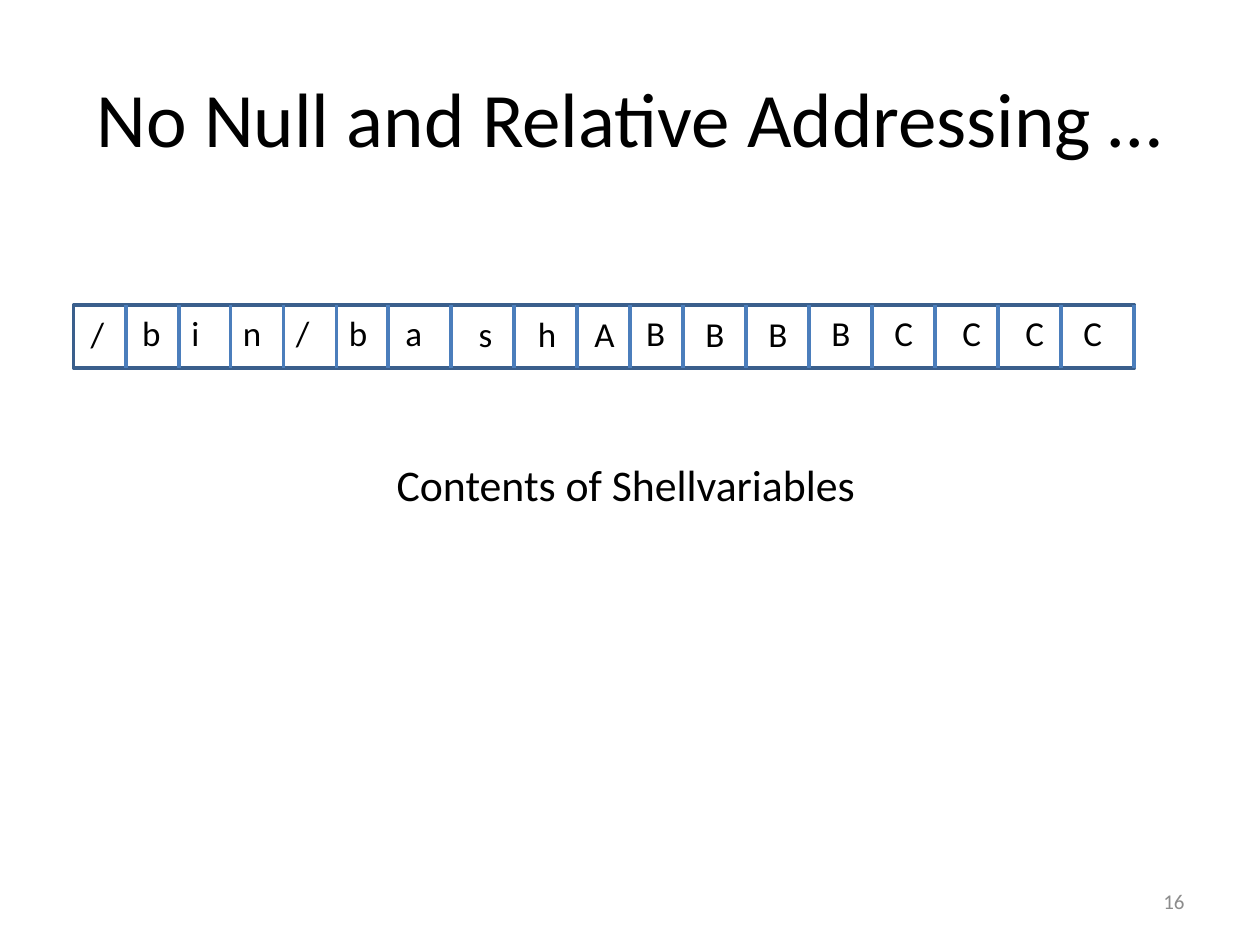
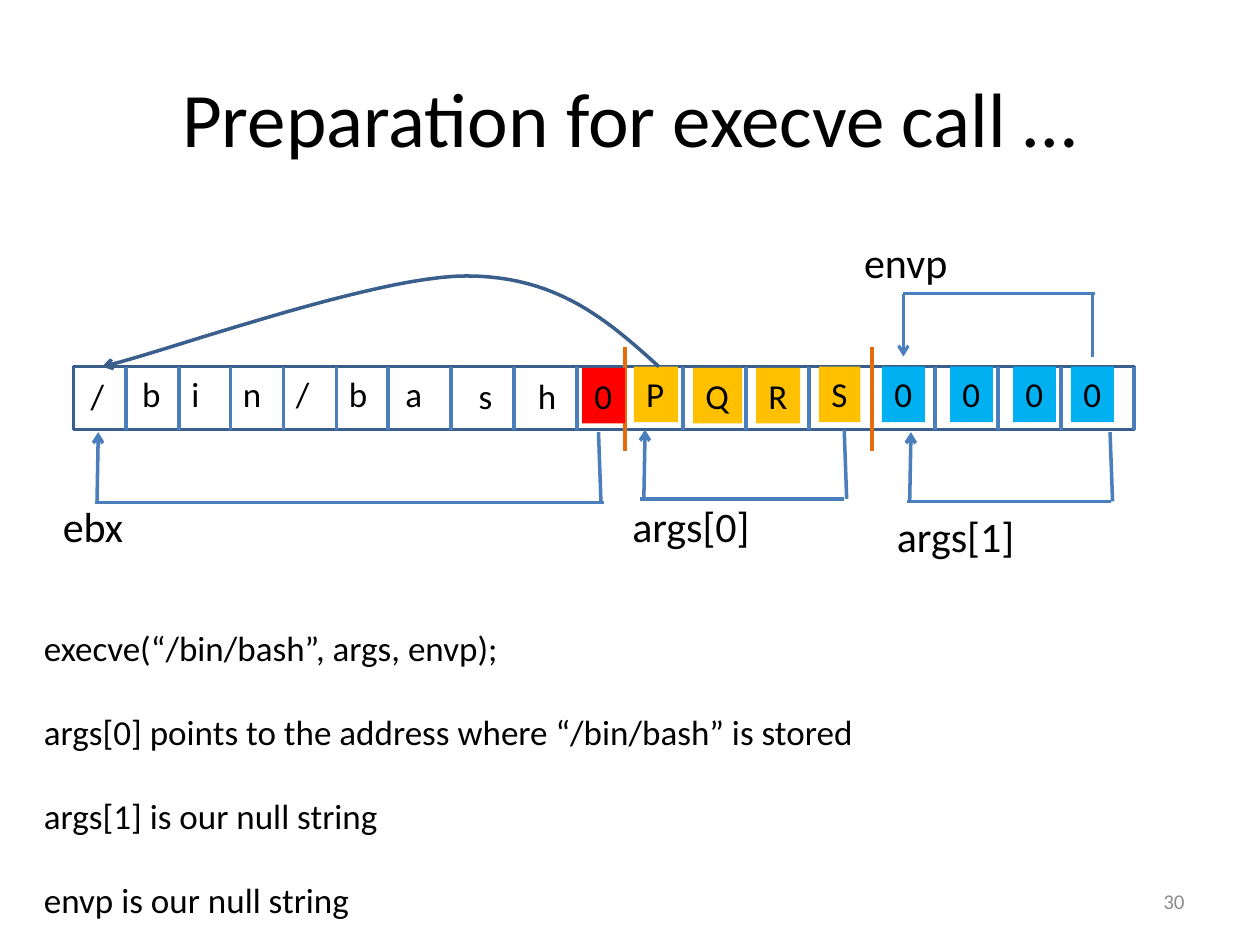
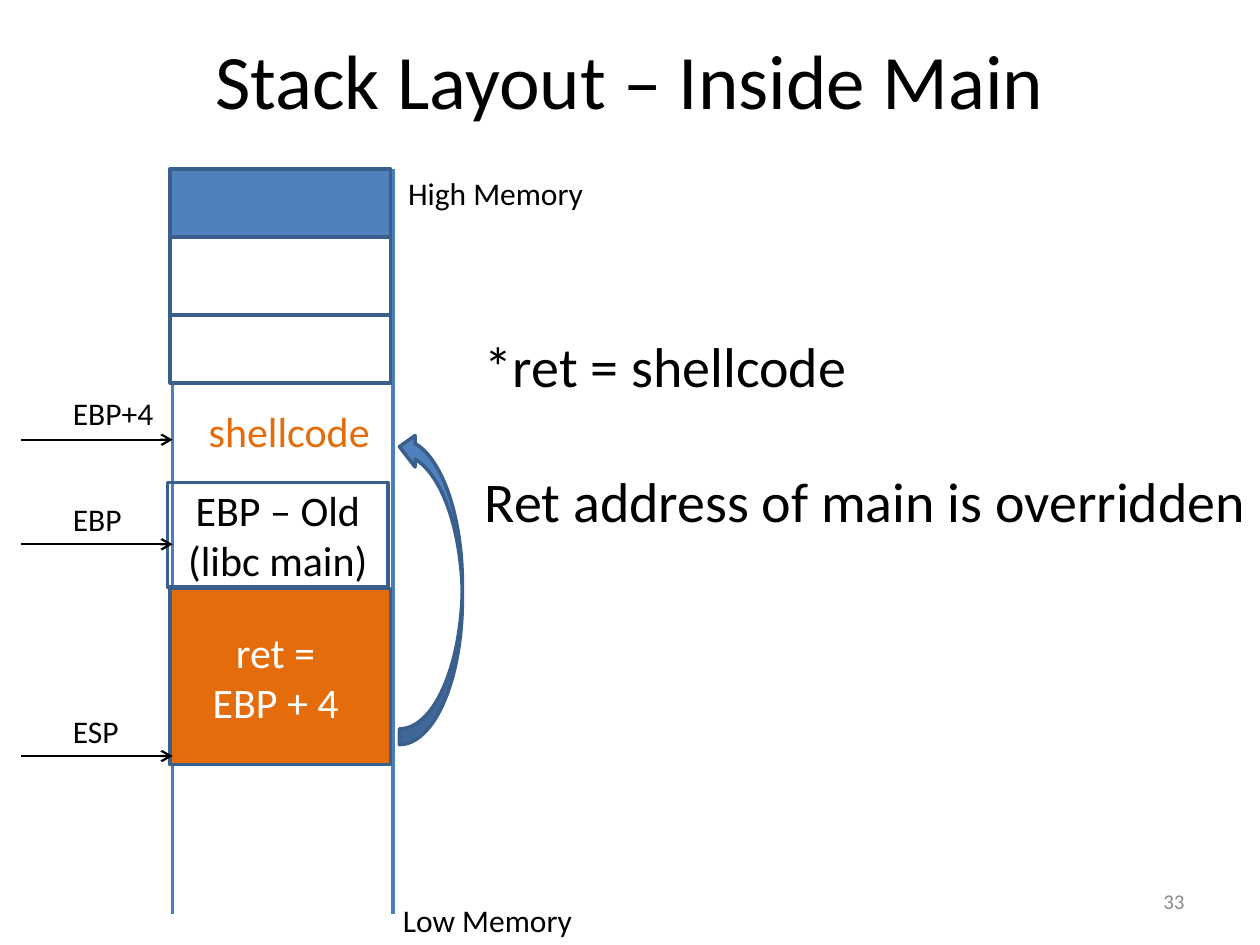
from dataclasses import dataclass
from itertools import accumulate
from typing import Optional

from lxml.etree import SubElement
from pptx import Presentation
from pptx.dml.color import RGBColor
from pptx.enum.shapes import MSO_CONNECTOR as Link, MSO_SHAPE as Preset
from pptx.enum.text import MSO_ANCHOR as Anchor, MSO_AUTO_SIZE as AutoSize, PP_ALIGN as Align
from pptx.oxml.ns import qn
from pptx.util import Inches, Pt

BLACK = RGBColor(0x00, 0x00, 0x00)
WHITE = RGBColor(0xFF, 0xFF, 0xFF)
GREY = RGBColor(0x8C, 0x8C, 0x8C)
BLUE = RGBColor(0x4F, 0x81, 0xBD)
LINE_BLUE = RGBColor(0x4B, 0x7E, 0xBC)
EDGE_BLUE = RGBColor(0x3A, 0x5F, 0x8C)
SKY = RGBColor(0x00, 0xB0, 0xF0)
ORANGE = RGBColor(0xE4, 0x6C, 0x0A)
GOLD = RGBColor(0xFF, 0xC0, 0x00)
RED = RGBColor(0xFF, 0x00, 0x00)
FONT = "Calibri"

NARROW = 5 / 12
ROW_LEFT, ROW_WIDTH, ROW_HEIGHT = 7 / 12, 8.42, 0.5
BYTE_WIDTHS = [NARROW] * 6 + [0.5] * 3 + [NARROW] * 2 + [0.5] * 6 + [7 / 12]
DIVIDERS = [round(x, 2) for x in accumulate(BYTE_WIDTHS, initial=ROW_LEFT)][1:]
BYTE_LEFTS = [0.62, 1.03, 1.42, 1.83, 2.25, 2.67, 3.12, 3.7, 4.17,
              4.62, 5.03, 5.5, 6, 6.5, 7, 7.54, 8.04, 8.5]
LOWERED = {0, 7, 8, 9, 11, 12}
GLYPH_WIDTHS = {"/": 0.31, "i": 0.27, "a": 0.34, "s": 0.31, "A": 0.36,
                "Q": 0.39, "S": 0.33, "0": 0.34}


@dataclass(frozen=True)
class Bracket:
    label: str
    label_box: tuple[float, float, float]
    left: float
    right: float
    bar: tuple[float, float]
    base: float
    tip: float
    skew: float = 0.01
    weight: float = 2


@dataclass(frozen=True)
class Frame:
    top: float
    height: float
    fill: Optional[RGBColor]
    left: float = 1.35
    text: str = ""
    color: RGBColor = BLACK


@dataclass(frozen=True)
class Register:
    name: str
    width: float
    top: float
    arrow_y: float


BRACKETS = [
    Bracket("ebx", (0.4, 3.92, 0.69), 0.77, 4.77, (0.75, 4.79), 3.99, 3.43),
    Bracket("args[0]", (4.92, 3.92, 1.14), 5.11, 6.72, (5.08, 6.7), 3.96, 3.41),
    Bracket("envp", (6.76, 1.83, 0.87), 7.17, 8.67, (7.17, 8.69), 2.33, 2.83, 0, 1.75),
    Bracket("args[1]", (7.02, 4, 1.14), 7.22, 8.83, (7.2, 8.82), 3.98, 3.43),
]
FRAMES = [
    Frame(1.34, 0.54, BLUE),
    Frame(1.88, 0.62, WHITE),
    Frame(2.5, 0.54, WHITE),
    Frame(3.83, 0.83, None, 1.33, "EBP – Old\n(libc main)"),
    Frame(4.67, 1.4, ORANGE, text="ret = \nEBP + 4 ", color=WHITE),
]
REGISTERS = [
    Register("ESP", 0.57, 5.6, 6),
    Register("EBP", 0.59, 3.92, 4.32),
    Register("EBP+4", 0.85, 3.08, 3.49),
]


def write(shape, text: str, *, size: float, color: RGBColor = BLACK, align=Align.LEFT,
          anchor=Anchor.TOP, wrap: bool = False, gap: float = 0) -> None:
    frame = shape.text_frame
    frame.word_wrap = wrap
    frame.auto_size = AutoSize.NONE if wrap else AutoSize.SHAPE_TO_FIT_TEXT
    frame.vertical_anchor = anchor
    for index, line in enumerate(text.split("\n")):
        para = frame.add_paragraph() if index else frame.paragraphs[0]
        para.alignment = align
        if index and gap:
            para.space_before = Pt(gap)
        span = para.add_run()
        span.text = line
        span.font.name, span.font.size = FONT, Pt(size)
        span.font.color.rgb = color


def add_text(page, text: str, left: float, top: float, width: float, height: float,
             fill: Optional[RGBColor] = None, **style) -> None:
    box = page.shapes.add_textbox(Inches(left), Inches(top), Inches(width), Inches(height))
    if fill is not None:
        box.fill.solid()
        box.fill.fore_color.rgb = fill
    write(box, text, **style)


def style_line(shape, color: RGBColor, weight: float, arrow: bool = False) -> None:
    shape.line.color.rgb = color
    shape.line.width = Pt(weight)
    if arrow:
        outline = shape._element.spPr.find(qn("a:ln"))
        SubElement(outline, qn("a:tailEnd"), type="arrow")


def add_line(page, start: tuple[float, float], end: tuple[float, float],
             color: RGBColor = LINE_BLUE, weight: float = 2, arrow: bool = False) -> None:
    line = page.shapes.add_connector(Link.STRAIGHT, *(Inches(v) for v in (*start, *end)))
    style_line(line, color, weight, arrow)
    SubElement(line._element.spPr, qn("a:effectLst"))


def add_block(page, preset, left: float, top: float, width: float, height: float,
              fill: Optional[RGBColor] = None):
    block = page.shapes.add_shape(preset, *(Inches(v) for v in (left, top, width, height)))
    block.shadow.inherit = False
    if fill is None:
        block.fill.background()
    else:
        block.fill.solid()
        block.fill.fore_color.rgb = fill
    style_line(block, EDGE_BLUE, 2)
    return block


def add_curve(page, start: tuple[float, float], segments: list, steps: int = 24) -> None:
    points, origin = [], start
    for segment in segments:
        anchors = (origin, *segment)
        for step in range(1, steps + 1):
            t = step / steps
            weights = ((1 - t) ** 3, 3 * t * (1 - t) ** 2, 3 * t * t * (1 - t), t ** 3)
            points.append(tuple(Inches(sum(w * a[axis] for w, a in zip(weights, anchors)))
                                for axis in (0, 1)))
        origin = segment[-1]
    builder = page.shapes.build_freeform(Inches(start[0]), Inches(start[1]))
    builder.add_line_segments(points, close=False)
    curve = builder.convert_to_shape()
    curve.shadow.inherit = False
    curve.fill.background()
    style_line(curve, EDGE_BLUE, 2, arrow=True)


def add_page(deck, title: str, number: int, title_top: float = 0.3):
    page = deck.slides.add_slide(deck.slide_layouts[6])
    add_text(page, title, 0.5, title_top, 9, 1.25, size=44, align=Align.CENTER,
             anchor=Anchor.MIDDLE, wrap=True)
    add_text(page, str(number), 7.17, 6.95, 2.33, 0.4, size=12, color=GREY,
             align=Align.RIGHT, anchor=Anchor.MIDDLE, wrap=True)
    return page


def add_memory(page, top: float, content: str, fills: Optional[dict] = None,
               bars: Optional[dict] = None) -> None:
    fills, bars = fills or {}, bars or {}
    add_block(page, Preset.RECTANGLE, ROW_LEFT, top, ROW_WIDTH, ROW_HEIGHT)
    for x in DIVIDERS:
        if x in bars:
            add_line(page, (bars[x], top - 0.16), (bars[x], top + 0.67), ORANGE)
        else:
            add_line(page, (x, top), (x, top + ROW_HEIGHT))
    for index, (glyph, left) in enumerate(zip(content, BYTE_LEFTS)):
        add_text(page, glyph, left, top + 0.01 * (index in LOWERED),
                 GLYPH_WIDTHS.get(glyph, 0.35), 0.44, fills.get(index), size=20)


def add_bracket(page, bracket: Bracket) -> None:
    left, right, base, tip = bracket.left, bracket.right, bracket.base, bracket.tip
    add_text(page, bracket.label, *bracket.label_box, 0.5, size=24)
    add_line(page, (left, base), (left + bracket.skew, tip), weight=bracket.weight, arrow=True)
    add_line(page, (bracket.bar[0], base), (bracket.bar[1], base))
    add_line(page, (right, base), (right - 2 * bracket.skew, tip), weight=bracket.weight)


def build_addressing(deck) -> None:
    page = add_page(deck, "No Null and Relative Addressing …", 16)
    add_memory(page, 2.42, "/bin/bashABBBBCCCC")
    add_text(page, "Contents of Shellvariables", 3.05, 3.58, 3.85, 0.52, size=25)


def build_execve(deck) -> None:
    page = add_page(deck, "Preparation for execve call …", 30)
    fills = {9: RED, **dict.fromkeys(range(10, 14), GOLD), **dict.fromkeys(range(14, 18), SKY)}
    add_memory(page, 2.91, "/bin/bash0PQRS0000", fills, {5.0: 4.96, 6.92: 6.92})
    for bracket in BRACKETS:
        add_bracket(page, bracket)
    lines = [
        "execve(“/bin/bash”, args, envp);",
        "args[0] points to the address where “/bin/bash” is stored",
        "args[1] is our null string",
        "envp is our null string",
    ]
    add_text(page, "\n".join(lines), 0.25, 4.92, 6.68, 2.46, size=20, gap=24)
    add_curve(page, (5.23, 2.91), [
        ((4.83, 2.55), (4.43, 2.19), (3.7, 2.19)),
        ((2.96, 2.19), (1.26, 2.81), (0.81, 2.91)),
    ])


def build_stack(deck) -> None:
    page = add_page(deck, "Stack Layout – Inside Main", 33, title_top=0)
    add_text(page, "Low Memory", 3.1, 7.1, 1.56, 0.4, size=18)
    add_text(page, "High Memory", 3.14, 1.33, 1.61, 0.4, size=18)
    for x, top in ((1.37, 1.37), (3.12, 1.34)):
        add_line(page, (x, top), (x, 7.25))
    centred = dict(size=24, align=Align.CENTER, anchor=Anchor.MIDDLE, wrap=True)
    for frame in FRAMES:
        block = add_block(page, Preset.RECTANGLE, frame.left, frame.top, 1.75, frame.height,
                          frame.fill)
        if frame.text:
            write(block, frame.text, color=frame.color, **centred)
    add_text(page, "shellcode", 1.42, 3, 1.75, 0.83, color=ORANGE, **centred)
    for register in REGISTERS:
        y = register.arrow_y
        add_line(page, (0.17, y), (1.37, y), BLACK, 1.25, arrow=True)
        add_text(page, register.name, 0.48, register.top, register.width, 0.4, size=18)
    add_text(page, "*ret = shellcode\nRet address of main is overridden ", 3.75, 2.58, 6.4, 1.72,
             size=32, gap=39)
    arrow = add_block(page, Preset.CURVED_LEFT_ARROW, 3.17, 3.42, 0.5, 2.49, BLUE)
    arrow._element.spPr.find(qn("a:xfrm")).set("flipV", "1")


def main() -> None:
    deck = Presentation()
    deck.slide_width, deck.slide_height = Inches(10), Inches(7.5)
    build_addressing(deck)
    build_execve(deck)
    build_stack(deck)
    deck.save("out.pptx")


main()
